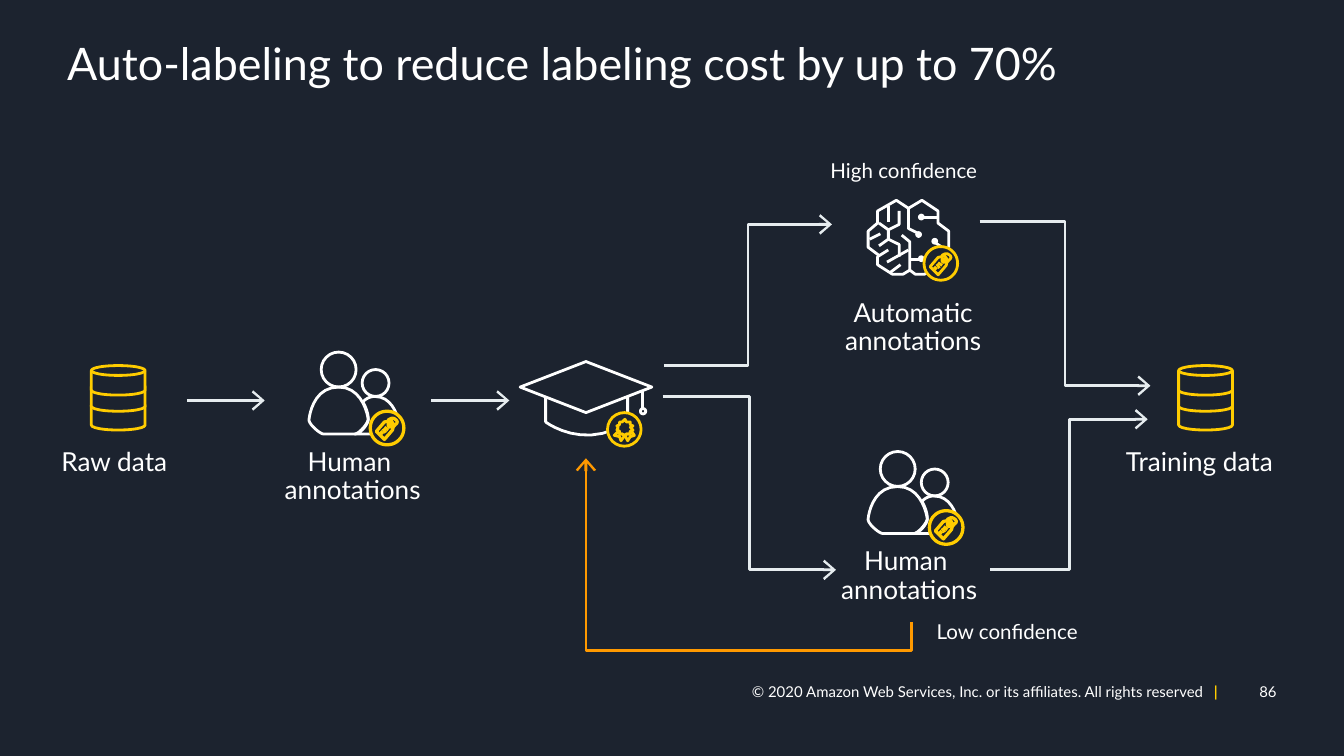
from dataclasses import dataclass

from lxml import etree
from pptx import Presentation, util as u
from pptx.dml.color import RGBColor as Rgb
from pptx.enum import shapes as sh, text as tx
from pptx.oxml.ns import qn

COLS, ROWS = 1000, 562.5  # the slide's grid of square cells
CELL = u.Inches(10) // COLS


@dataclass(frozen=True)
class Theme:
    font: str = "Lato"
    back: str = "1C232F"
    white: str = "FFFFFF"
    pale: str = "E6ECEF"
    gold: str = "FFCC00"
    flame: str = "FF9900"
    title: float = 24
    label: float = 14
    note: float = 11
    foot: float = 8
    thin: float = 1.5
    bold: float = 1.75


@dataclass(frozen=True)
class Label:
    words: str
    box: tuple
    size: float
    align: str = "CENTER"
    lead: float = 1.0
    after: float = 0
    pad: tuple = (0, 0)
    wrap: bool = True
    grow: bool = False
    anchor: str = "TOP"
    mark: str = ""  # bold gold sign set apart at the end


@dataclass(frozen=True)
class Arrow:
    start: tuple
    end: tuple
    color: str = Theme.pale
    turn: int = 0
    bend: float = 0.5


T = Theme()
NAME = dict(size=T.label, lead=0.9, after=24, wrap=False, grow=True)
FOOT = dict(size=T.foot, align="RIGHT", anchor="MIDDLE")
NOTE = dict(size=T.note, pad=(10, 5), grow=True)
LABELS = [
    Label("86", (857, 506, 93, 17), **FOOT),
    Label("© 2020 Amazon Web Services, Inc. or its affiliates. All rights reserved",
          (507, 506, 399, 17), mark="|", **FOOT),
    Label("Auto-labeling to reduce labeling cost by up to 70%",
          (50, 31, 900, 75), T.title, "LEFT", 0.9),
    Label("Automatic\vannotations", (626, 223, 107, 42), **NAME),
    Label("Raw data", (44, 334, 82, 21), **NAME),
    Label("Human \vannotations", (209, 334, 107, 42), **NAME),
    Label("Training data", (833, 334, 119, 21), **NAME),
    Label("Human \vannotations", (623, 408, 107, 42), **NAME),
    Label("High confidence", (556, 113, 233, 29), **NOTE),
    Label("Low confidence", (687, 456, 192, 29), align="LEFT", **NOTE),
]
ARROWS = [
    Arrow((139, 298), (197, 298)),
    Arrow((321, 298), (379, 298)),
    Arrow((494, 272), (619, 167)),
    Arrow((493, 295), (622, 424)),
    Arrow((729, 165), (856, 287)),
    Arrow((737, 424), (854, 312)),
    Arrow((618, 281), (496, 523), T.flame, 90, -0.171),
]

# Outlines: M starts a run, L goes straight, C curves, Z closes
BODY = "M14,64 L37,64 C40,64 47,56 47,53 47,53 44,29 25,29 5,29 3,53 3,53 2,56 11,64 14,64 Z"
BACK = ("M52,36 C48,36 45,38 43,40 46,45 47,50 47,52 48,56 41,64 37,64 "
        "L62,64 C64,64 70,58 70,56 70,56 67,36 52,36 Z")
TAG = ("M1,-5.5 C1,-5.5 1,-6.5 2,-6.5 3,-7.5 5,-7.5 6,-6.5 8,-5.5 8,-3.5 6,-2.5 5,-0.5 3,-0.5 2,-2.5 "
       "M5,-2.5 L4,1.5 -2,8.5 -8,2.5 -2,-4.5 3,-5.5 Z "
       "M1,-1.5 C2,-0.5 2,-0.5 3,-1.5 3,-1.5 3,-2.5 3,-3.5 2,-3.5 2,-3.5 1,-3.5 1,-2.5 1,-1.5 1,-1.5 Z "
       "M-2,-0.5 L1,1.5 M-3,0.5 L-1,3.5 M-5,2.5 L-3,4.5 "
       "M0,-12.5 C-7,-12.5 -12.5,-7 -12.5,0 -12.5,7 -7,12.5 0,12.5 "
       "7,12.5 12.5,7 12.5,0 12.5,-7 7,-12.5 0,-12.5 Z")
BRAIN = [
    "M684,174 L676,170 676,155 686,149 698,157 698,166 706,172 706,184 699,190 699,198 "
    "688,204 681,204 677,201 672,204 664,204 653,197 653,191 661,186",
    "M676,155 L667,149 653,157 653,166 646,172 646,184 654,190",
    "M671,175 L677,180 677,201", "M676,186 L660,195", "M669,191 L669,182 661,178 654,183",
    "M654,166 L661,171 661,178", "M661,171 L669,167 669,157",
]
FOLDS = [(662, 203, 670, 197), (698, 162, 686, 162), (704, 186, 695, 180), (655, 174, 647, 178),
         (661, 153, 661, 165), (677, 193, 686, 193)]
NODES = [(695.5, 179.5), (683.5, 174.5), (685.5, 161.5), (685.5, 192.5)]
CAP = ["M406,295 L406,314 C406,314 435,336 467,314 L467,295",
       "M436,307 L387,288 436,269 485,288 Z"]
MEDAL = ("M472,324 L469,325 467,328 465,324 466,323 469,323 469,321 470,321 Z "
         "M463,323 L461,323 461,321 460,321 457,324 461,325 462,328 465,324 Z "
         "M459,317 L460,318 459,320 461,321 461,323 463,323 465,325 466,323 469,323 469,321 "
         "471,320 469,318 471,317 469,316 469,314 466,314 465,312 463,314 461,314 461,316 Z")

deck = Presentation()
deck.slide_width, deck.slide_height = COLS * CELL, round(ROWS * CELL)
page = deck.slides.add_slide(deck.slide_layouts[6])
page.background.fill.solid()
page.background.fill.fore_color.rgb = Rgb.from_string(T.back)


def put(item, **vals) -> None:
    for key, val in vals.items():
        setattr(item, key, val)


def emu(*cells: float) -> list[int]:
    return [round(c * CELL) for c in cells]


def paint(shape, fill: str = "", line: str = "", width: float = T.thin) -> None:
    shape.shadow.inherit = False
    for part, tint in ((shape.fill, fill), (shape.line.fill, line)):
        if tint:
            part.solid()
            part.fore_color.rgb = Rgb.from_string(tint)
        else:
            part.background()
    if line:
        shape.line.width = u.Pt(width)


def style(run, size: float, color: str = T.white, bold: bool = False) -> None:
    put(run.font, name=T.font, size=u.Pt(size), bold=bold)
    run.font.color.rgb = Rgb.from_string(color)


def write(label: Label) -> None:
    frame = page.shapes.add_textbox(*emu(*label.box)).text_frame
    side, top = emu(*label.pad)
    fit = tx.MSO_AUTO_SIZE.SHAPE_TO_FIT_TEXT if label.grow else tx.MSO_AUTO_SIZE.NONE
    put(frame, margin_left=side, margin_right=side, margin_top=top, margin_bottom=top,
        word_wrap=label.wrap, auto_size=fit, vertical_anchor=tx.MSO_ANCHOR[label.anchor])
    para = frame.paragraphs[0]
    put(para, alignment=tx.PP_ALIGN[label.align], line_spacing=label.lead,
        space_after=u.Pt(label.after), text=label.words)
    for run in para.runs:
        style(run, label.size)
    if label.mark:
        gap, sign = para.add_run(), para.add_run()
        gap.text, sign.text = " ", label.mark
        style(gap, label.size)
        style(sign, label.size, T.gold, True)
        gap.font._element.set("spc", "310")


def join(start: tuple, end: tuple, color: str, bent: bool = False):
    kind = sh.MSO_CONNECTOR.ELBOW if bent else sh.MSO_CONNECTOR.STRAIGHT
    line = page.shapes.add_connector(kind, *emu(*start, *end))
    line.line.color.rgb = Rgb.from_string(color)
    line.line.width = u.Pt(T.thin)
    etree.SubElement(line._element.spPr, qn("a:effectLst"))
    return line


def point(arrow: Arrow) -> None:
    """Draw a line with an open head, straight when it stays in one row."""
    bent = arrow.start[1] != arrow.end[1]
    line = join(arrow.start, arrow.end, arrow.color, bent)
    props = line._element.spPr
    etree.SubElement(props.find(qn("a:ln")), qn("a:tailEnd"), type="arrow", w="lg", len="med")
    if arrow.turn:
        props.find(qn("a:xfrm")).set("rot", str(arrow.turn * 60000))
    if bent:
        guides = props.find(qn("a:prstGeom")).get_or_add_avLst()
        etree.SubElement(guides, qn("a:gd"), name="adj1", fmla=f"val {round(arrow.bend * 100000)}")


def curve(a: tuple, b: tuple, c: tuple, d: tuple, steps: int = 10) -> list[tuple]:
    """Points along a cubic curve, without its first one."""
    shares = [i / steps for i in range(1, steps + 1)]
    return [tuple((1 - t) ** 3 * p + 3 * t * (1 - t) ** 2 * q + 3 * t * t * (1 - t) * r + t ** 3 * s
                  for p, q, r, s in zip(a, b, c, d)) for t in shares]


def trace(code: str) -> list[tuple]:
    """Turn an outline into runs of points, each with its closed flag."""
    runs = []
    for part in code.split("M")[1:]:
        dots, hold, mode = [], [], "L"
        for word in part.replace("Z", "").split():
            if word[0] in "LC":
                mode, word = word[0], word[1:]
            hold.append(tuple(float(n) for n in word.split(",")))
            if mode == "L":
                dots, hold = dots + hold, []
            elif len(hold) == 3:
                dots, hold = dots + curve(dots[-1], *hold), []
        runs.append((dots, "Z" in part))
    return runs


def draw(code: str, x: float = 0, y: float = 0, line: str = T.white, width: float = T.thin) -> None:
    pen = None
    for dots, closed in trace(code):
        first, *rest = [emu(x + a, y + b) for a, b in dots]
        if pen is None:
            pen = page.shapes.build_freeform(*first)
        else:
            pen.move_to(*first)
        pen.add_line_segments(rest, close=closed)
    paint(pen.convert_to_shape(), line=line, width=width)


def disc(x: float, y: float, r: float, fill: str = "", line: str = "") -> None:
    box = emu(x - r, y - r, 2 * r, 2 * r)
    paint(page.shapes.add_shape(sh.MSO_SHAPE.OVAL, *box), fill, line)


def badge(x: float, y: float, width: float = T.bold) -> None:
    disc(x, y, 12.5, T.back)
    draw(TAG, x, y, T.gold, width)


def people(x: float, y: float) -> None:
    draw(BODY, x, y)
    disc(x + 25, y + 16, 13, line=T.white)
    disc(x + 52.5, y + 26, 10, line=T.white)
    draw(BACK, x, y)
    badge(x + 61, y + 59.5)


def store(x: float) -> None:
    for y in (298, 284, 272):
        disk = page.shapes.add_shape(sh.MSO_SHAPE.FLOWCHART_MAGNETIC_DISK, *emu(x, y, 40, 22))
        paint(disk, T.back, T.gold)


def brain() -> None:
    for code in BRAIN:
        draw(code)
    for fold in FOLDS:
        join(fold[:2], fold[2:], T.white)
    for node in NODES:
        disc(*node, 2.5, T.white)
    badge(700, 196, T.thin)


def cap() -> None:
    for code in CAP:
        draw(code)
    join((478, 291), (478, 304), T.white)
    disc(478.5, 306, 2, line=T.white)
    disc(464.5, 319.5, 12.5, T.back, T.gold)
    draw(MEDAL, line=T.gold)


for label in LABELS:
    write(label)
for arrow in ARROWS:
    point(arrow)
for spot in ((227, 259), (643, 333)):
    people(*spot)
for left in (68, 877):
    store(left)
brain()
cap()
deck.save("out.pptx")
